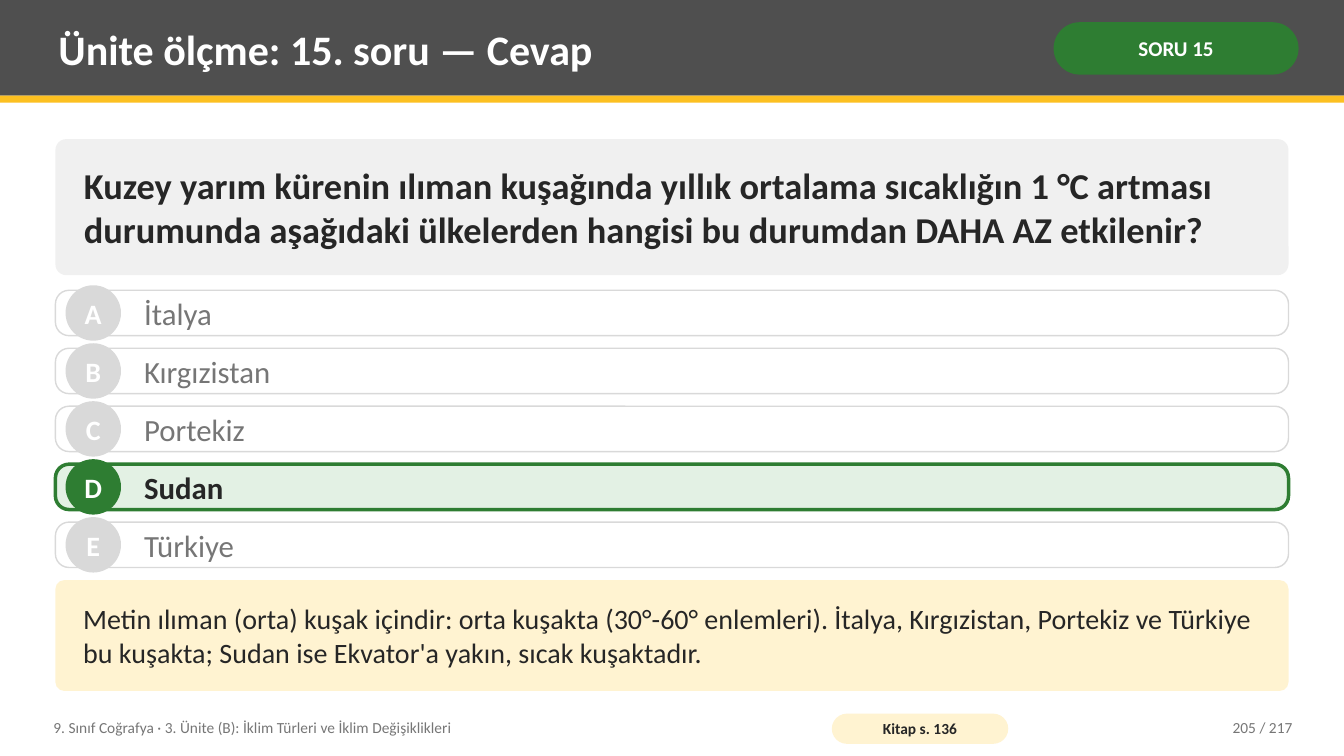
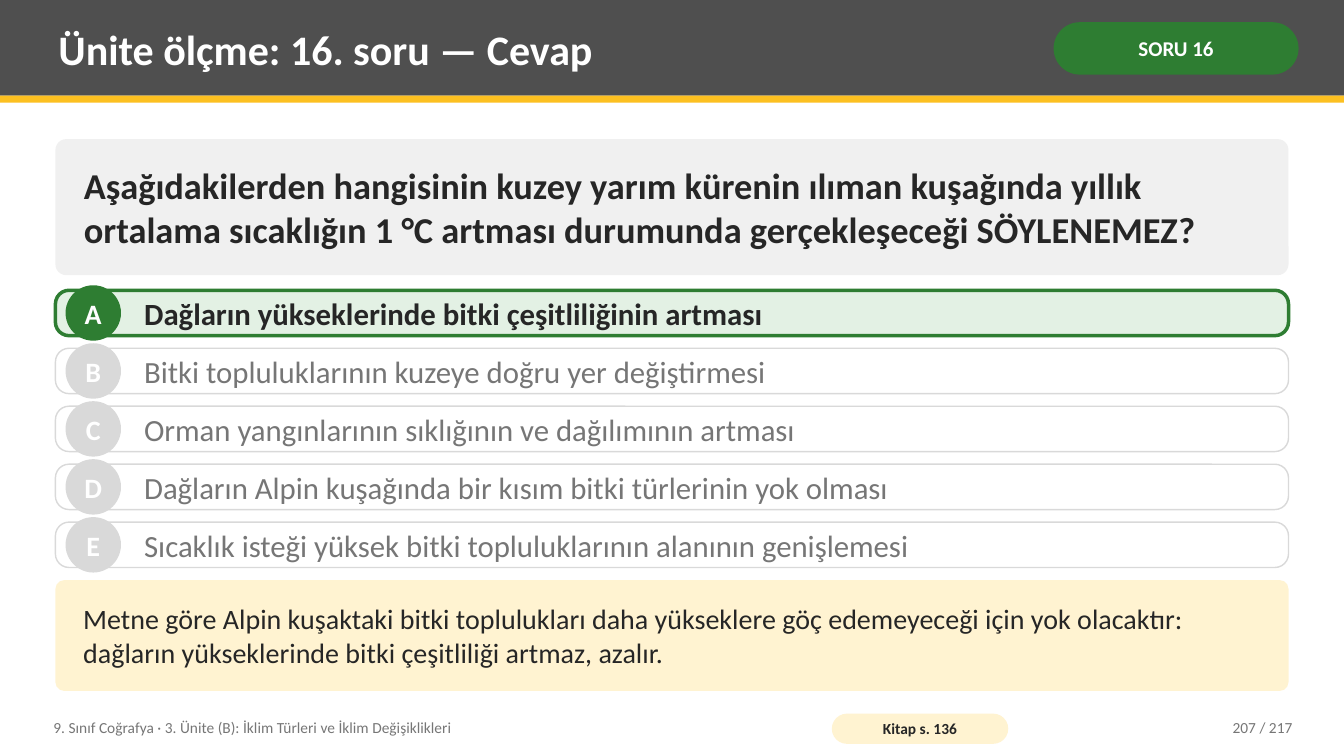
import pptx
import pptx.dml.color
import pptx.enum.shapes
import pptx.enum.text
import pptx.util

Inches = pptx.util.Inches
Shape = pptx.enum.shapes.MSO_SHAPE
Align = pptx.enum.text.PP_ALIGN

FOOTER = "9. Sınıf Coğrafya · 3. Ünite (B): İklim Türleri ve İklim Değişiklikleri"
PAGE_COUNT = 217
QUESTIONS = [
    {
        "number": 15,
        "page": 205,
        "book_page": 136,
        "question": "Kuzey yarım kürenin ılıman kuşağında yıllık ortalama sıcaklığın 1 °C artması "
                    "durumunda aşağıdaki ülkelerden hangisi bu durumdan DAHA AZ etkilenir?",
        "options": ["İtalya", "Kırgızistan", "Portekiz", "Sudan", "Türkiye"],
        "answer": "D",
        "explanation": "Metin ılıman (orta) kuşak içindir: orta kuşakta (30°-60° enlemleri). İtalya, "
                       "Kırgızistan, Portekiz ve Türkiye bu kuşakta; Sudan ise Ekvator'a yakın, "
                       "sıcak kuşaktadır.",
    },
    {
        "number": 16,
        "page": 207,
        "book_page": 136,
        "question": "Aşağıdakilerden hangisinin kuzey yarım kürenin ılıman kuşağında yıllık ortalama "
                    "sıcaklığın 1 °C artması durumunda gerçekleşeceği SÖYLENEMEZ?",
        "options": [
            "Dağların yükseklerinde bitki çeşitliliğinin artması",
            "Bitki topluluklarının kuzeye doğru yer değiştirmesi",
            "Orman yangınlarının sıklığının ve dağılımının artması",
            "Dağların Alpin kuşağında bir kısım bitki türlerinin yok olması",
            "Sıcaklık isteği yüksek bitki topluluklarının alanının genişlemesi",
        ],
        "answer": "A",
        "explanation": "Metne göre Alpin kuşaktaki bitki toplulukları daha yükseklere göç edemeyeceği "
                       "için yok olacaktır: dağların yükseklerinde bitki çeşitliliği artmaz, azalır.",
    },
]

THEME = {
    "font": "Calibri",
    "colors": {
        "white": "FFFFFF", "header": "4F4F4F", "accent": "FCC021", "green": "2E7D32",
        "pale_green": "E3F1E4", "panel": "F0F0F0", "cream": "FFF3D1", "outline": "D9D9D9",
        "ink": "262626", "muted": "767676",
    },
    "text": {
        "title": {"size": 30, "bold": True, "color": "white"},
        "badge": {"size": 15, "bold": True, "color": "white", "align": Align.CENTER, "insets": (0.05, 0.02)},
        "question": {"size": 26, "bold": True, "color": "ink", "insets": (0.25, 0.08)},
        "letter": {"size": 20, "bold": True, "color": "white", "align": Align.CENTER,
                   "insets": (0, 0), "wrap": False},
        "option": {"size": 22, "color": "muted"},
        "answer": {"size": 22, "bold": True, "color": "ink"},
        "explanation": {"size": 20, "color": "ink", "insets": (0.25, 0.08)},
        "footer": {"size": 11, "color": "muted"},
        "book": {"size": 11, "bold": True, "color": "ink", "align": Align.CENTER, "insets": (0.04, 0)},
        "page": {"size": 11, "color": "muted", "align": Align.RIGHT},
    },
    "option": {"fill": "white", "line": "outline", "width": 1, "circle": "outline", "text": "option"},
    "answer": {"fill": "pale_green", "line": "green", "width": 2.5, "circle": "green", "text": "answer"},
}

SLIDE_WIDTH, SLIDE_HEIGHT = 13.33, 7.5
LEFT, CONTENT_WIDTH = 0.55, 12.23
OPTION_TOP, OPTION_HEIGHT, OPTION_STEP = 2.88, 0.45, 0.575
CIRCLE_SIZE = 0.55


def color(name):
    return pptx.dml.color.RGBColor.from_string(THEME["colors"][name])


def set_attributes(target, values):
    for name, value in values.items():
        setattr(target, name, value)


def write(shape, text, style_name):
    style = THEME["text"][style_name]
    side, edge = (Inches(inset) for inset in style.get("insets", (0.08, 0.04)))
    frame = shape.text_frame
    set_attributes(frame, {
        "margin_left": side, "margin_right": side, "margin_top": edge, "margin_bottom": edge,
        "word_wrap": style.get("wrap", True),
        "vertical_anchor": pptx.enum.text.MSO_ANCHOR.MIDDLE,
    })
    paragraph = frame.paragraphs[0]
    paragraph.alignment = style.get("align", Align.LEFT)
    run = paragraph.add_run()
    run.text = text
    set_attributes(run.font, {
        "name": THEME["font"], "size": pptx.util.Pt(style["size"]), "bold": style.get("bold", False),
    })
    run.font.color.rgb = color(style["color"])


def add_label(slide, box, text, style_name):
    write(slide.shapes.add_textbox(*map(Inches, box)), text, style_name)


def add_block(slide, kind, box, fill, radius=None, line=None, width=1, text=None, style_name=None):
    shape = slide.shapes.add_shape(kind, *map(Inches, box))
    shape.shadow.inherit = False
    shape.fill.solid()
    shape.fill.fore_color.rgb = color(fill)
    if radius is not None:
        shape.adjustments[0] = radius
    if line:
        shape.line.color.rgb = color(line)
        shape.line.width = pptx.util.Pt(width)
    else:
        shape.line.fill.background()
    if text:
        write(shape, text, style_name)


def add_header(slide, number):
    add_block(slide, Shape.RECTANGLE, (0, 0, SLIDE_WIDTH, 0.95), "header")
    add_block(slide, Shape.RECTANGLE, (0, 0.95, SLIDE_WIDTH, 0.07), "accent")
    add_label(slide, (0.5, 0.07, 9.75, 0.82), f"Ünite ölçme: {number}. soru — Cevap", "title")
    add_block(slide, Shape.ROUNDED_RECTANGLE, (10.45, 0.22, 2.43, 0.52), "green", 0.5,
              text=f"SORU {number}", style_name="badge")


def add_option(slide, index, letter, text, is_answer):
    look = THEME["answer" if is_answer else "option"]
    top = OPTION_TOP + index * OPTION_STEP
    circle_top = top + (OPTION_HEIGHT - CIRCLE_SIZE) / 2
    add_block(slide, Shape.ROUNDED_RECTANGLE, (LEFT, top, CONTENT_WIDTH, OPTION_HEIGHT),
              look["fill"], 0.3, look["line"], look["width"])
    add_block(slide, Shape.OVAL, (LEFT + 0.1, circle_top, CIRCLE_SIZE, CIRCLE_SIZE),
              look["circle"], text=letter, style_name="letter")
    add_label(slide, (LEFT + 0.8, top, CONTENT_WIDTH - 1, OPTION_HEIGHT), text, look["text"])


def add_footer(slide, page, book_page):
    add_label(slide, (0.45, 7.04, 7.6, 0.36), FOOTER, "footer")
    add_block(slide, Shape.ROUNDED_RECTANGLE, (8.25, 7.08, 1.75, 0.3), "cream", 0.5,
              text=f"Kitap s. {book_page}", style_name="book")
    add_label(slide, (11.3, 7.04, 1.6, 0.36), f"{page} / {PAGE_COUNT}", "page")


def add_answer_slide(presentation, item):
    slide = presentation.slides.add_slide(presentation.slide_layouts[6])
    add_header(slide, item["number"])
    add_block(slide, Shape.ROUNDED_RECTANGLE, (LEFT, 1.38, CONTENT_WIDTH, 1.35), "panel", 0.08,
              text=item["question"], style_name="question")
    for index, (letter, text) in enumerate(zip("ABCDE", item["options"])):
        add_option(slide, index, letter, text, letter == item["answer"])
    explanation_top = OPTION_TOP + len(item["options"]) * OPTION_STEP
    add_block(slide, Shape.ROUNDED_RECTANGLE, (LEFT, explanation_top, CONTENT_WIDTH, 1.1), "cream", 0.08,
              text=item["explanation"], style_name="explanation")
    add_footer(slide, item["page"], item["book_page"])


def main():
    presentation = pptx.Presentation()
    set_attributes(presentation, {
        "slide_width": Inches(SLIDE_WIDTH), "slide_height": Inches(SLIDE_HEIGHT),
    })
    for item in QUESTIONS:
        add_answer_slide(presentation, item)
    presentation.save("out.pptx")


if __name__ == "__main__":
    main()
